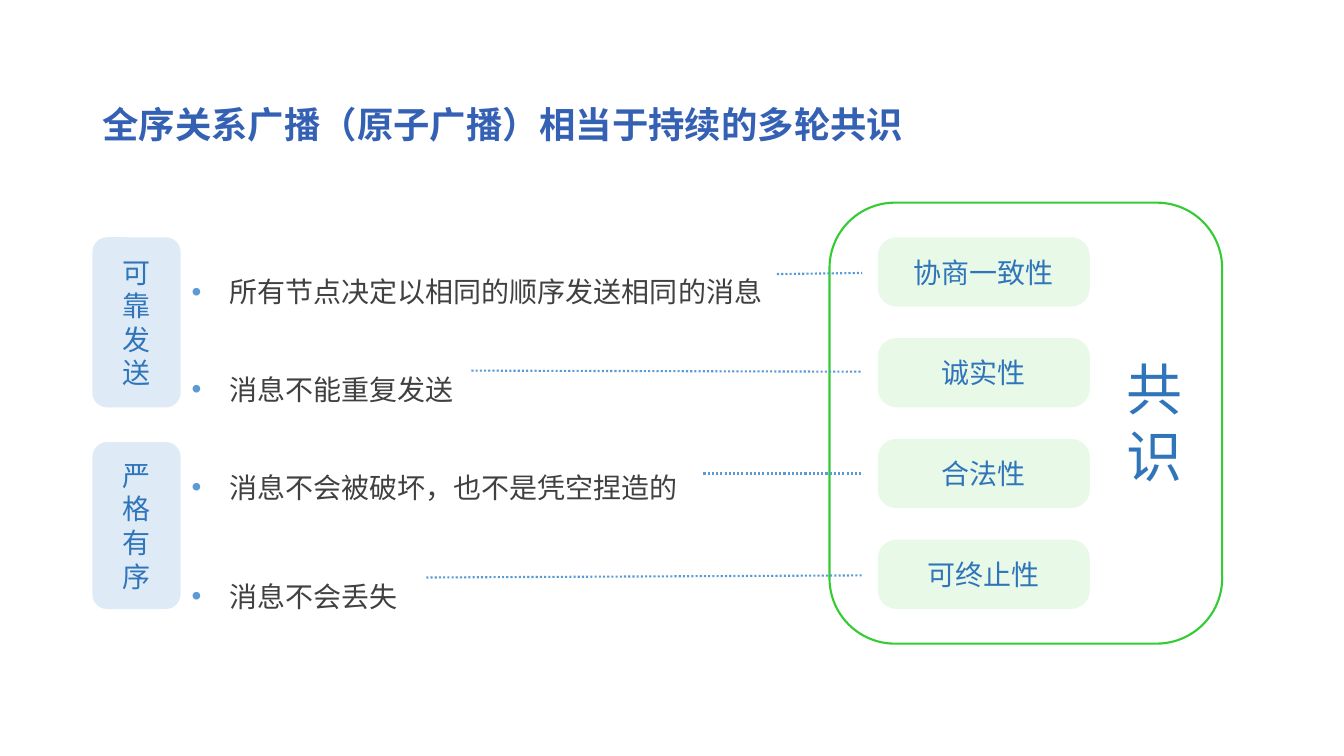
"""Build the slide that compares total order broadcast with consensus."""
from lxml.etree import SubElement
from pptx import Presentation
from pptx.dml.color import RGBColor
from pptx.enum.dml import MSO_LINE
from pptx.enum.shapes import MSO_CONNECTOR, MSO_SHAPE
from pptx.enum.text import MSO_ANCHOR, MSO_AUTO_SIZE, PP_ALIGN
from pptx.oxml.ns import qn
from pptx.util import Pt

PX = 9525
FONT = "Noto Sans CJK SC"
COLORS = {
    "title": "3561B4",
    "label": "3075BA",
    "body": "404040",
    "accent": "5B9BD5",
    "tag": "DEEBF7",
    "property": "E8F9E8",
    "frame": "33CC33",
}


def write(box, lines, size, color, bold=False, align=None):
    frame = box.text_frame
    for index, line in enumerate(lines):
        para = frame.add_paragraph() if index else frame.paragraphs[0]
        para.alignment = align
        span = para.add_run()
        span.text = line
        span.font.name = FONT
        span.font.size = Pt(size)
        span.font.bold = bold
        span.font.color.rgb = RGBColor.from_string(COLORS[color])
        SubElement(span.font._element, qn("a:ea"), typeface=FONT)
    return frame


def add_rounded(left, top, width, height, fill=None):
    box = page.shapes.add_shape(
        MSO_SHAPE.ROUNDED_RECTANGLE, left * PX, top * PX, width * PX, height * PX)
    box.shadow.inherit = False
    if fill:
        box.fill.solid()
        box.fill.fore_color.rgb = RGBColor.from_string(COLORS[fill])
        box.line.fill.background()
    else:
        box.fill.background()
    box.text_frame.vertical_anchor = MSO_ANCHOR.MIDDLE
    return box


deck = Presentation()
deck.slide_width = 1280 * PX
deck.slide_height = 720 * PX
page = deck.slides.add_slide(deck.slide_layouts[6])

title = page.shapes.add_textbox(88 * PX, 93 * PX, 1039 * PX, 52 * PX)
title.text_frame.word_wrap = True
write(title, ["全序关系广播（原子广播）相当于持续的多轮共识"], 26, "title", bold=True)

statements = [
    (193, "所有节点决定以相同的顺序发送相同的消息"),
    (286, "消息不能重复发送"),
    (379, "消息不会被破坏，也不是凭空捏造的"),
    (483, "消息不会丢失"),
]
for top, text in statements:
    statement = page.shapes.add_textbox(173 * PX, top * PX, 588 * PX, 89 * PX)
    frame = write(statement, [text], 20, "body")
    frame.word_wrap = True
    frame.auto_size = MSO_AUTO_SIZE.SHAPE_TO_FIT_TEXT
    para = frame.paragraphs[0]
    settings = para._p.get_or_add_pPr()
    settings.set("marL", str(36 * PX))
    settings.set("indent", str(-36 * PX))
    bullet_color = SubElement(settings, qn("a:buClr"))
    SubElement(bullet_color, qn("a:srgbClr"), val=COLORS["accent"])
    SubElement(settings, qn("a:buFont"), typeface="Arial")
    SubElement(settings, qn("a:buChar"), char="•")
    para.line_spacing = 3.0

for top, height, text in [(226, 162, "可靠发送"), (421, 159, "严格有序")]:
    tag = add_rounded(88, top, 84, height, "tag")
    write(tag, text, 20, "label", align=PP_ALIGN.CENTER)

consensus = add_rounded(790, 193, 374, 420)
consensus.line.color.rgb = RGBColor.from_string(COLORS["frame"])
consensus.line.width = Pt(1.5)

consensus_name = page.shapes.add_textbox(1063 * PX, 333 * PX, 73 * PX, 139 * PX)
consensus_name.text_frame.word_wrap = False
write(consensus_name, "共识", 40, "label")

properties = [
    ("协商一致性", 740, 261, 260),
    ("诚实性", 449, 353, 354),
    ("合法性", 670, 451, 451),
    ("可终止性", 406, 550, 548),
]
for row, (text, start, start_y, end_y) in enumerate(properties):
    box = add_rounded(836, 226 + 96 * row, 202, 66, "property")
    box.adjustments[0] = 0.27
    write(box, [text], 20, "label", align=PP_ALIGN.CENTER)
    link = page.shapes.add_connector(
        MSO_CONNECTOR.STRAIGHT, start * PX, start_y * PX, 821 * PX, end_y * PX)
    link.line.color.rgb = RGBColor.from_string(COLORS["accent"])
    link.line.width = Pt(1.5)
    link.line.dash_style = MSO_LINE.ROUND_DOT
    SubElement(link._element.spPr, qn("a:effectLst"))

deck.save("out.pptx")
